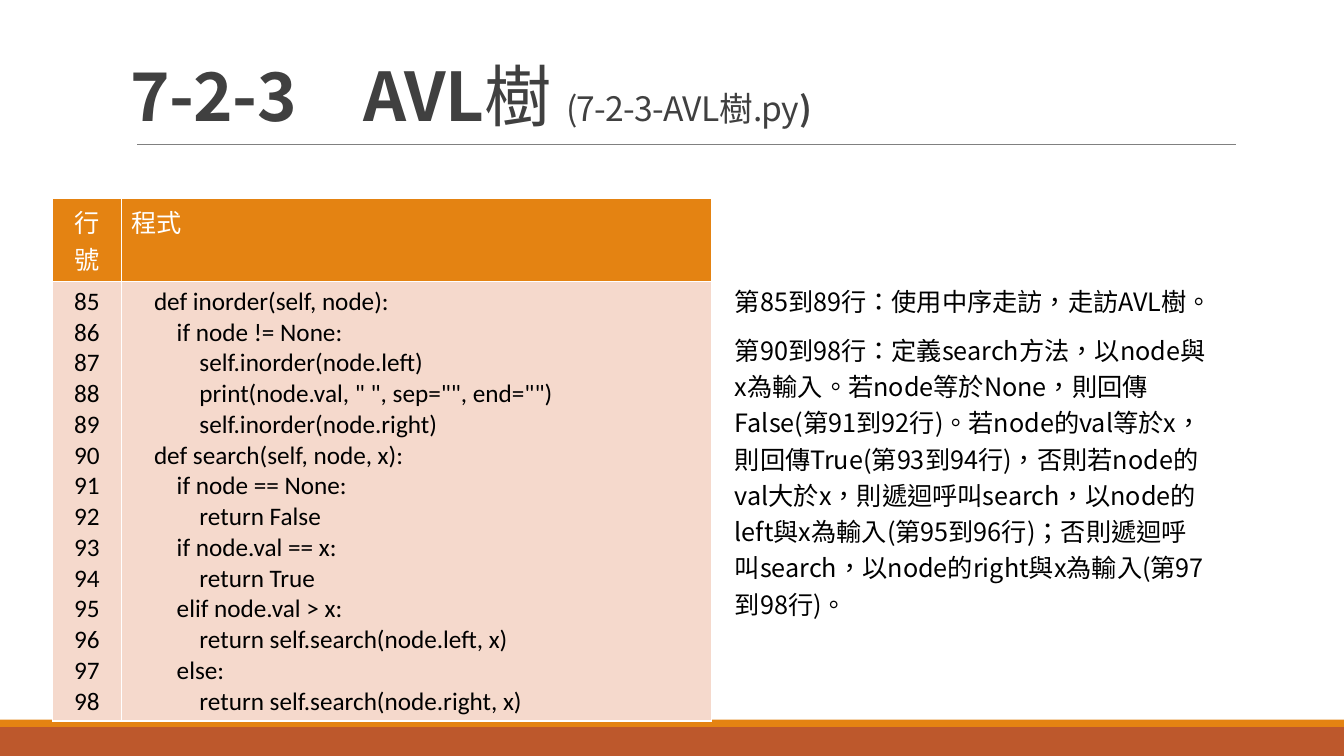
"""Build the slide on searching and walking an AVL tree."""
from lxml import etree
from pptx import Presentation, util as u
from pptx.dml.color import RGBColor
from pptx.enum import shapes, text
from pptx.oxml import ns

RUST = RGBColor(0xBD, 0x58, 0x2C)
AMBER = RGBColor(0xE4, 0x83, 0x12)
BLUSH = RGBColor(0xF5, 0xD9, 0xCC)
WHITE = RGBColor(0xFF, 0xFF, 0xFF)
BLACK = RGBColor(0, 0, 0)
DARK = RGBColor(0x40, 0x40, 0x40)
GRAY = RGBColor(0x80, 0x80, 0x80)

WIDE, HIGH = u.Inches(13.33), u.Inches(7.5)
NOTO, CARL = "Noto Sans CJK SC", "Calibri"

FIRST = 85
CODE = """\
    def inorder(self, node):
        if node != None:
            self.inorder(node.left)
            print(node.val, " ", sep="", end="")
            self.inorder(node.right)
    def search(self, node, x):
        if node == None:
            return False
        if node.val == x:
            return True
        elif node.val > x:
            return self.search(node.left, x)
        else:
            return self.search(node.right, x)"""
TITLE = [("7-2-3　AVL", 48, True), ("樹 ", 48, False),
         ("(7-2-3-AVL樹.py", 24, False), (")", 24, True)]
NOTES = [
    "第85到89行：使用中序走訪，走訪AVL樹。",
    "第90到98行：定義search方法，以node與x為輸入。若node等於None，"
    "則回傳False(第91到92行)。若node的val等於x，則回傳True(第93到94行)，"
    "否則若node的val大於x，則遞迴呼叫search，以node的left與x為輸入"
    "(第95到96行)；否則遞迴呼叫search，以node的right與x為輸入(第97到98行)。",
]


def col(num):
    """Return the length of num columns, each a hundredth of the width."""
    return round(WIDE * num / 100)


def row(num):
    """Return the length of num rows, each a hundredth of the height."""
    return round(HIGH * num / 100)


def grid(left, top, wide, high):
    """Return a box in grid units as lengths."""
    return col(left), row(top), col(wide), row(high)


def style(run, face, size, color, bold=False):
    """Format one run as Traditional Chinese, with one face for all scripts."""
    font = run.font
    font.name, font.size, font.bold = face, u.Pt(size), bold
    font.color.rgb = color
    props = run._r.get_or_add_rPr()
    props.set("lang", "zh-TW")
    if face == NOTO:
        etree.SubElement(props, ns.qn("a:ea")).set("typeface", face)


def edge(cell):
    """Give a cell thin white borders."""
    props = cell._tc.get_or_add_tcPr()
    for spot, side in enumerate(("lnL", "lnR", "lnT", "lnB")):
        line = etree.Element(ns.qn("a:" + side), w=str(u.Pt(1)))
        fill = etree.SubElement(line, ns.qn("a:solidFill"))
        etree.SubElement(fill, ns.qn("a:srgbClr"), val=str(WHITE))
        props.insert(spot, line)


def foot(slide, box):
    """Draw the two bands along the bottom of the slide."""
    left, top, wide, high = box
    thin = round(high * 0.2)
    for start, tall, color in ((top + thin, high - thin, RUST), (top, thin, AMBER)):
        band = slide.shapes.add_shape(
            shapes.MSO_SHAPE.RECTANGLE, left, start, wide, tall)
        band.shadow.inherit = False
        band.fill.solid()
        band.fill.fore_color.rgb = color
        band.line.fill.background()


def head(slide, box):
    """Set the title with the rule beneath it."""
    left, top, wide, high = box
    frame = slide.shapes.add_textbox(*box).text_frame
    frame.word_wrap = True
    frame.vertical_anchor = text.MSO_ANCHOR.BOTTOM
    para = frame.paragraphs[0]
    para.line_spacing = 0.85
    for words, size, bold in TITLE:
        run = para.add_run()
        run.text = words
        style(run, NOTO, size, DARK, bold)
        run._r.get_or_add_rPr().set("spc", "-50")
    start, level = left + col(1.2), top + high + row(0.53)
    rule = slide.shapes.add_connector(
        shapes.MSO_CONNECTOR.STRAIGHT, start, level, left + wide + col(0.5), level)
    rule.line.color.rgb = GRAY
    rule.line.width = u.Pt(0.5)
    etree.SubElement(rule._element.spPr, ns.qn("a:effectLst"))


def code(slide, box):
    """Set the listing as a table of line numbers and code."""
    left, top, wide, high = box
    table = slide.shapes.add_table(2, 2, *box).table
    slim, short = col(5.12), row(10.93)
    table.columns[0].width, table.columns[1].width = slim, wide - slim
    table.rows[0].height, table.rows[1].height = short, high - short
    count = len(CODE.splitlines())
    nums = "\n".join(str(FIRST + step) for step in range(count))
    looks = ((AMBER, WHITE), (BLUSH, BLACK))
    for down, pair in enumerate((("行號", "程式"), (nums, CODE))):
        fill, ink = looks[down]
        for across, words in enumerate(pair):
            cell = table.cell(down, across)
            cell.fill.solid()
            cell.fill.fore_color.rgb = fill
            edge(cell)
            cell.text_frame.text = words
            for para in cell.text_frame.paragraphs:
                para.alignment = (
                    text.PP_ALIGN.LEFT if across else text.PP_ALIGN.CENTER)
                for run in para.runs:
                    style(run, CARL, 18, ink)


def notes(slide, box):
    """Set the remarks beside the listing."""
    frame = slide.shapes.add_textbox(*box).text_frame
    frame.word_wrap = True
    frame.text = "\n".join(NOTES)
    for spot, para in enumerate(frame.paragraphs):
        para.line_spacing = 1.2
        para.space_before = u.Pt(6 if spot else 0)
        para.space_after = u.Pt(3)
        for run in para.runs:
            style(run, NOTO, 18, BLACK)


def main():
    """Build and save the deck."""
    deck = Presentation()
    deck.slide_width, deck.slide_height = WIDE, HIGH
    slide = deck.slides.add_slide(deck.slide_layouts[6])
    foot(slide, grid(0, 95.2, 100, 4.8))
    head(slide, grid(9, 4.13, 82.5, 14.4))
    code(slide, grid(3.9, 26.27, 49.06, 69.1))
    notes(slide, grid(53.94, 36.4, 36.76, 52.8))
    deck.save("out.pptx")


if __name__ == "__main__":
    main()
